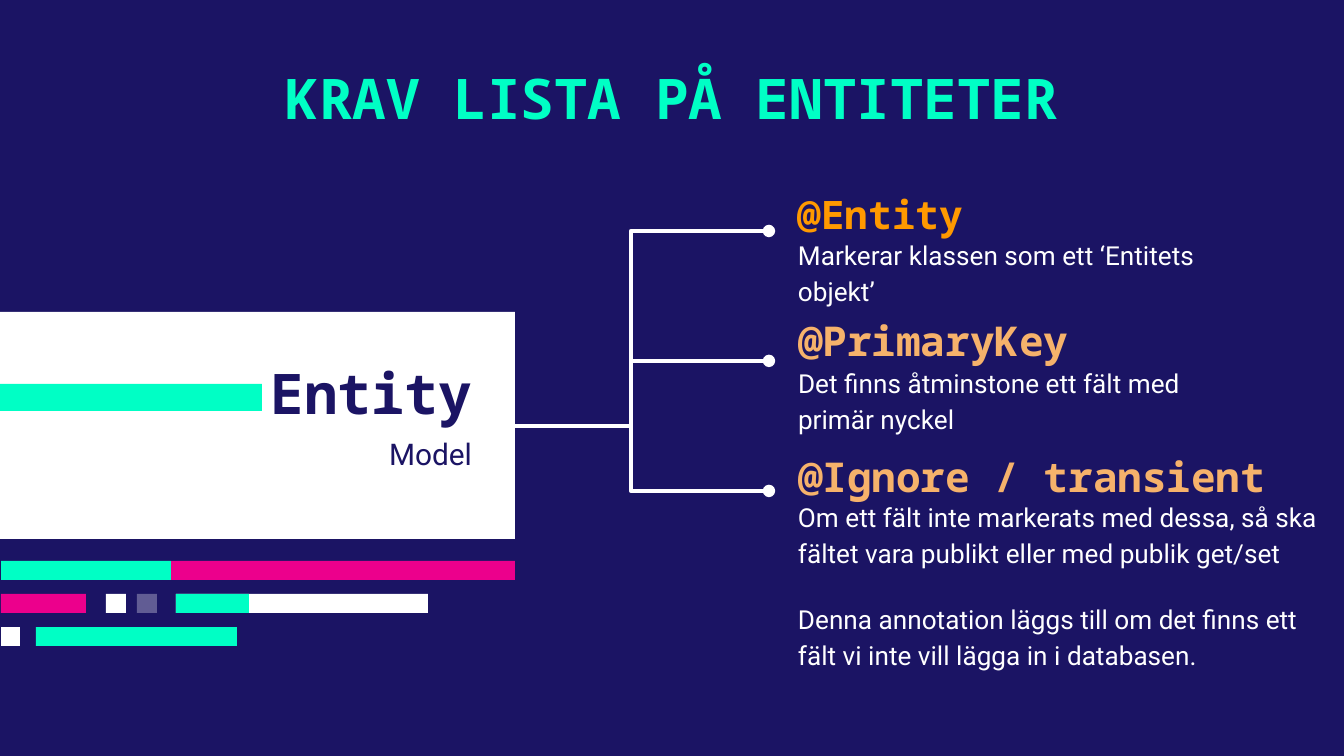
from dataclasses import dataclass

from lxml import etree
from pptx import Presentation
from pptx.dml.color import RGBColor
from pptx.enum.shapes import MSO_CONNECTOR, MSO_SHAPE
from pptx.enum.text import MSO_ANCHOR, PP_ALIGN
from pptx.oxml.ns import qn
from pptx.util import Emu, Pt

ELBOW = MSO_CONNECTOR.ELBOW
RECTANGLE = MSO_SHAPE.RECTANGLE
TOP, MIDDLE = MSO_ANCHOR.TOP, MSO_ANCHOR.MIDDLE
LEFT, CENTER, RIGHT = PP_ALIGN.LEFT, PP_ALIGN.CENTER, PP_ALIGN.RIGHT
SLIDE_WIDTH, SLIDE_HEIGHT = 1344, 756
EMU_PER_PX = 9144000 / SLIDE_WIDTH


@dataclass(frozen=True)
class Theme:
    """Colours, fonts and type sizes of the slide."""
    navy: str = "1B1464"
    mint: str = "00FFC5"
    pink: str = "EC008C"
    white: str = "FFFFFF"
    orange: str = "FF9900"
    peach: str = "F6B26B"
    heading_font: str = "Noto Sans Mono"
    body_font: str = "Roboto"
    title_size: int = 30
    heading_size: int = 22
    first_heading_size: int = 21
    subtitle_size: int = 16
    body_size: int = 14


THEME = Theme()
REQUIREMENTS = [
    {"top": 0, "body_top": 41, "widths": (559, 505), "heading": "@Entity",
     "color": THEME.orange, "size": THEME.first_heading_size,
     "body": ["Markerar klassen som ett ‘Entitets objekt’"]},
    {"top": 126, "body_top": 43, "widths": (435, 480), "heading": "@PrimaryKey",
     "color": THEME.peach, "size": THEME.heading_size,
     "body": ["Det finns åtminstone ett fält med primär nyckel"]},
    {"top": 262, "body_top": 41, "widths": (535, 547), "heading": "@Ignore / transient",
     "color": THEME.peach, "size": THEME.heading_size,
     "body": ["Om ett fält inte markerats med dessa, så ska fältet vara publikt "
              "eller med publik get/set",
              "Denna annotation läggs till om det finns ett fält vi inte vill "
              "lägga in i databasen."]},
]
BAR_ROWS = [
    [(171, 344, THEME.pink, 100), (1, 170, THEME.mint, 100)],
    [(176, 252, THEME.white, 100), (176, 73, THEME.mint, 100), (1, 85, THEME.pink, 100),
     (137, 20, THEME.white, 31), (106, 20, THEME.white, 100)],
    [(1, 19, THEME.white, 100), (36, 201, THEME.mint, 100)],
]


def px(*lengths):
    """Turn pixel lengths into EMU."""
    return [Emu(round(length * EMU_PER_PX)) for length in lengths]


def add_rectangle(slide, box, color, opacity=100):
    """Add a plain filled rectangle."""
    shape = slide.shapes.add_shape(RECTANGLE, *px(*box))
    shape.shadow.inherit = False
    shape.fill.solid()
    shape.fill.fore_color.rgb = RGBColor.from_string(color)
    shape.line.fill.background()
    if opacity < 100:
        color_element = shape.fill._xPr.find(".//" + qn("a:srgbClr"))
        etree.SubElement(color_element, qn("a:alpha"), val=str(opacity * 1000))


def add_text(slide, box, texts, size, color, heading=True, alignment=LEFT, anchor=MIDDLE, inset=0):
    """Add a text box in the heading or the body style."""
    frame = slide.shapes.add_textbox(*px(*box)).text_frame
    side, vertical = px(13, inset)
    frame_format = {"word_wrap": True, "vertical_anchor": anchor,
                    "margin_left": side, "margin_right": side,
                    "margin_top": vertical, "margin_bottom": vertical}
    for name, value in frame_format.items():
        setattr(frame, name, value)
    font_format = {"name": THEME.heading_font if heading else THEME.body_font,
                   "size": Pt(size), "bold": heading}
    for index, text in enumerate(texts):
        paragraph = frame.add_paragraph() if index else frame.paragraphs[0]
        paragraph.alignment = alignment
        paragraph.line_spacing = 1.0 if heading else 1.15
        if index:
            paragraph.space_before = Pt(16)
        run = paragraph.add_run()
        run.text = text
        for name, value in font_format.items():
            setattr(run.font, name, value)
        run.font.color.rgb = RGBColor.from_string(color)


def add_title(slide, box):
    """Place the slide title."""
    add_text(slide, box, ["KRAV LISTA PÅ ENTITETER"], THEME.title_size, THEME.mint,
             alignment=CENTER, anchor=TOP, inset=13)


def add_entity_card(slide, box):
    """Place the white card with its accent bar and two labels."""
    left, top, _, _ = box
    add_rectangle(slide, box, THEME.white)
    add_text(slide, (left + 128, top + 118, 357, 64), ["Model"], THEME.subtitle_size,
             THEME.navy, heading=False, alignment=RIGHT, anchor=TOP)
    add_rectangle(slide, (left, top + 72, 262, 27), THEME.mint)
    add_text(slide, (left + 128, top + 51, 357, 58), ["Entity"], THEME.title_size,
             THEME.navy, alignment=RIGHT)


def add_code_bars(slide, box):
    """Place the rows of coloured bars below the card."""
    left, top, _, height = box
    bar_height = 19
    pitch = (height - bar_height) / (len(BAR_ROWS) - 1)
    for row, bars in enumerate(BAR_ROWS):
        for offset, width, color, opacity in bars:
            bar = (left + offset, top + row * pitch, width, bar_height)
            add_rectangle(slide, bar, color, opacity)


def add_requirements(slide, box):
    """Place the annotation headings with their explanations."""
    left, top, _, _ = box
    for item in REQUIREMENTS:
        heading_top = top + item["top"]
        heading_width, body_width = item["widths"]
        add_text(slide, (left, heading_top, heading_width, 40), [item["heading"]],
                 item["size"], item["color"])
        add_text(slide, (left, heading_top + item["body_top"], body_width, 40), item["body"],
                 THEME.body_size, THEME.white, heading=False, anchor=TOP)


def add_branches(slide, box):
    """Place the elbow connectors from the card to the requirements."""
    left, top, width, height = box
    start_y = top + height * 3 / 4
    for branch in range(3):
        end_y = top + branch * height / 2
        connector = slide.shapes.add_connector(ELBOW, *px(left, start_y, left + width, end_y))
        connector.line.width = Pt(2.25)
        connector.line.color.rgb = RGBColor.from_string(THEME.white)
        line = connector.line._get_or_add_ln()
        etree.SubElement(line, qn("a:tailEnd"), type="oval")
        etree.SubElement(connector._element.spPr, qn("a:effectLst"))


def main():
    """Build and save the presentation."""
    presentation = Presentation()
    presentation.slide_width, presentation.slide_height = px(SLIDE_WIDTH, SLIDE_HEIGHT)
    slide = presentation.slides.add_slide(presentation.slide_layouts[6])
    background = slide.background.fill
    background.solid()
    background.fore_color.rgb = RGBColor.from_string(THEME.navy)
    add_title(slide, (188, 51, 968, 98))
    add_entity_card(slide, (0, 312, 515, 227))
    add_code_bars(slide, (0, 561, 515, 85))
    add_requirements(slide, (785, 194, 559, 480))
    add_branches(slide, (493, 231, 276, 260))
    presentation.save("out.pptx")


if __name__ == "__main__":
    main()
